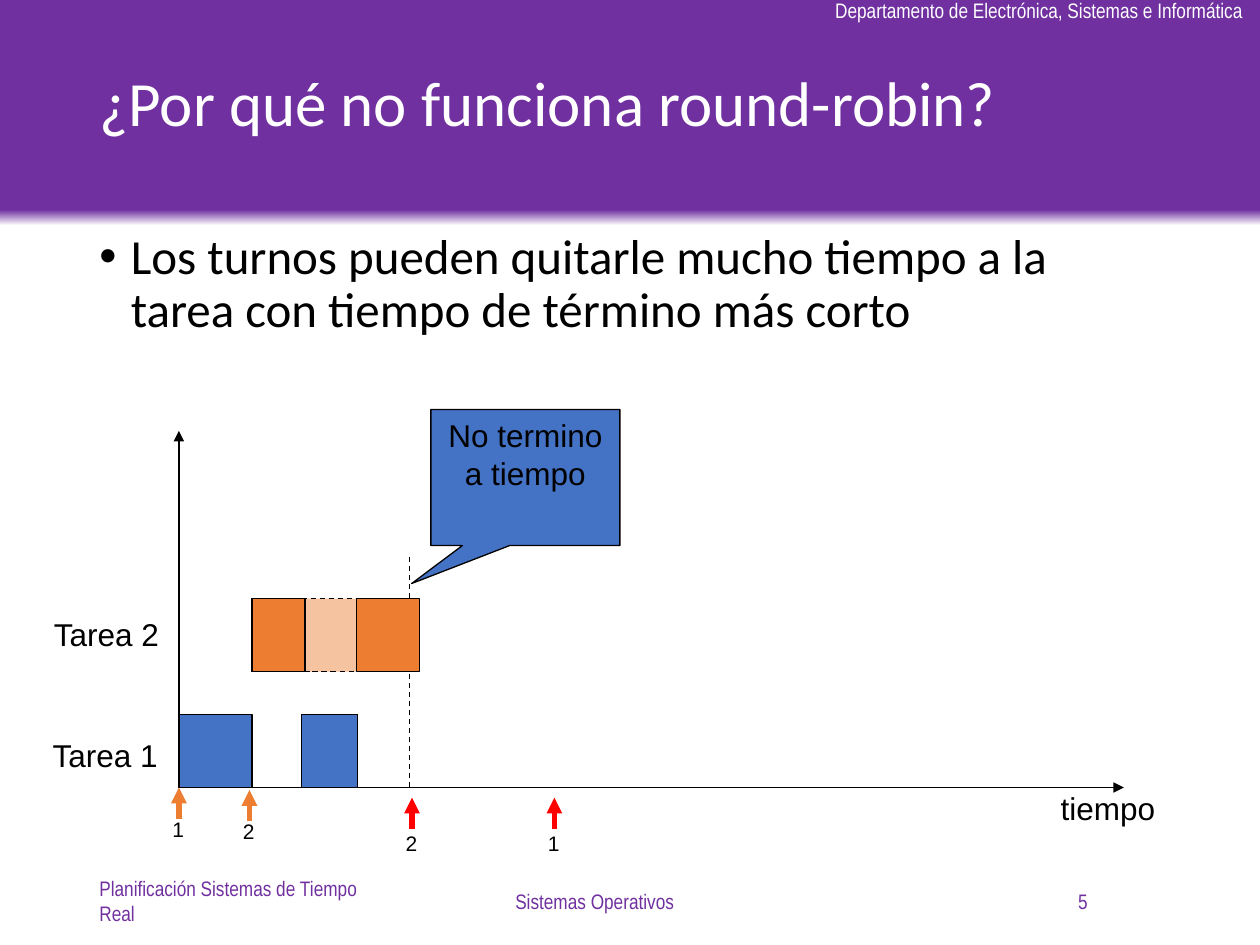
from lxml import etree
from pptx import Presentation
from pptx.dml.color import RGBColor
from pptx.enum import dml, shapes, text
from pptx.oxml import ns
from pptx.util import Inches, Pt

COLORS = {
    "purple": "7030A0", "white": "FFFFFF", "black": "000000",
    "blue": "4472C4", "orange": "ED7D31", "red": "FF0000",
}
RGB = {name: RGBColor.from_string(value) for name, value in COLORS.items()}
LEFT, CENTER, RIGHT = text.PP_ALIGN.LEFT, text.PP_ALIGN.CENTER, text.PP_ALIGN.RIGHT
TOP, MIDDLE = text.MSO_ANCHOR.TOP, text.MSO_ANCHOR.MIDDLE

presentation = Presentation()
presentation.slide_width, presentation.slide_height = Inches(10), Inches(7.5)
slide = presentation.slides.add_slide(presentation.slide_layouts[6])


def write(shape, words, font, size, color="black", align=LEFT, anchor=TOP, wrap=True):
    frame = shape.text_frame
    paragraph = frame.paragraphs[0]
    run = paragraph.add_run()
    formats = (
        (frame, {"word_wrap": wrap, "vertical_anchor": anchor}),
        (paragraph, {"alignment": align}),
        (run, {"text": words}),
        (run.font, {"name": font, "size": Pt(size)}),
        (run.font.color, {"rgb": RGB[color]}),
    )
    for target, values in formats:
        for name, value in values.items():
            setattr(target, name, value)
    return paragraph


def draw_line(start, end, color="black", width=0.75, arrow=None, dash=None):
    line = slide.shapes.add_connector(
        shapes.MSO_CONNECTOR.STRAIGHT, *map(Inches, (*start, *end)))
    line.line.color.rgb = RGB[color]
    line.line.width = Pt(width)
    line.line.dash_style = dash
    if arrow:
        etree.SubElement(line.line._get_or_add_ln(), ns.qn(f"a:{arrow}"), type="triangle")
    etree.SubElement(line._element.spPr, ns.qn("a:effectLst"))


banner = slide.shapes.add_shape(
    shapes.MSO_SHAPE.RECTANGLE, 0, 0, Inches(10), Inches(1.79))
banner.shadow.inherit = False
banner.line.fill.background()
banner.fill.gradient()
banner.fill.gradient_angle = 90
for stop, position, color in zip(banner.fill.gradient_stops, (0, 0.07), ("white", "purple")):
    stop.position = position
    stop.color.rgb = RGB[color]

FOOTER = {"font": "Arial Narrow", "size": 12, "color": "purple", "anchor": MIDDLE}
LABEL = {"font": "Arial", "size": 18, "wrap": False}
MARK = {"font": "Arial", "size": 12, "wrap": False}
texts = [
    ((6.53, -0.07, 3.48, 0.3), "Departamento de Electrónica, Sistemas e Informática",
     {"font": "Arial Narrow", "size": 12, "color": "white", "wrap": False}),
    ((0.69, 0.15, 8.62, 1.39), "¿Por qué no funciona round-robin?",
     {"font": "Calibri", "size": 36, "color": "white", "anchor": MIDDLE}),
    ((0.69, 1.79, 8.62, 4.97),
     "Los turnos pueden quitarle mucho tiempo a la tarea con tiempo de término más corto",
     {"font": "Calibri", "size": 28}),
    ((0.69, 6.95, 2.25, 0.4), "Planificación Sistemas de Tiempo Real", FOOTER),
    ((3.03, 6.95, 3.38, 0.4), "Sistemas Operativos", {**FOOTER, "align": CENTER}),
    ((6.48, 6.95, 2.25, 0.4), "5", {**FOOTER, "align": RIGHT}),
    ((8.32, 6.21, 0.95, 0.4), "tiempo", LABEL),
    ((0.32, 5.79, 1.06, 0.4), "Tarea 1", LABEL),
    ((0.33, 4.83, 1.06, 0.4), "Tarea 2", LABEL),
]
paragraphs = [
    write(slide.shapes.add_textbox(*map(Inches, box)), words, **style)
    for box, words, style in texts
]
title, bullet = paragraphs[1:3]
title.line_spacing = bullet.line_spacing = 0.9
bullet.space_before = Pt(10)
properties = bullet._p.get_or_add_pPr()
properties.set("marL", str(Inches(0.25)))
properties.set("indent", str(Inches(-0.25)))
etree.SubElement(properties, ns.qn("a:buFont"), typeface="Arial")
etree.SubElement(properties, ns.qn("a:buChar"), char="•")

ORIGIN = (1.42, 6.25)
DEADLINE = 3.25
DASH = dml.MSO_LINE.DASH
draw_line((DEADLINE, ORIGIN[1]), (DEADLINE, 4.42), dash=DASH)

TASK_TOPS = {"blue": 5.67, "orange": 4.75}
blocks = [
    ("orange", 2, 0.92, 46), ("blue", 1.42, 0.58, 100), ("orange", 2, 0.42, 100),
    ("blue", 2.39, 0.45, 100), ("orange", 2.83, 0.5, 100),
]
for color, left, width, opacity in blocks:
    block = slide.shapes.add_shape(
        shapes.MSO_SHAPE.RECTANGLE, *map(Inches, (left, TASK_TOPS[color], width, 0.58)))
    block.shadow.inherit = False
    block.fill.solid()
    block.fill.fore_color.rgb = RGB[color]
    block.line.color.rgb = RGB["black"]
    block.line.width = Pt(0.75)
    if opacity < 100:
        block.line.dash_style = DASH
        fill_color = block._element.spPr.find(ns.qn("a:solidFill"))[0]
        etree.SubElement(fill_color, ns.qn("a:alpha"), val=str(opacity * 1000))

for axis_end in ((8.92, ORIGIN[1]), (ORIGIN[0], 3.42)):
    draw_line(ORIGIN, axis_end, arrow="tailEnd")

marks = [
    ("1", 1.42, 6.25, "orange", 6.43), ("2", 1.98, 6.27, "orange", 6.45),
    ("2", 3.27, 6.33, "red", 6.54), ("1", 4.4, 6.33, "red", 6.54),
]
for number, x, y, color, label_top in marks:
    draw_line((x, y), (x, y + 0.25), color, 3, arrow="headEnd")
    label = slide.shapes.add_textbox(*map(Inches, (x - 0.15, label_top, 0.29, 0.3)))
    write(label, number, **MARK)

callout = slide.shapes.add_shape(
    shapes.MSO_SHAPE.RECTANGULAR_CALLOUT, *map(Inches, (3.42, 3.25, 1.5, 1.08)))
callout.shadow.inherit = False
callout.adjustments[0], callout.adjustments[1] = -0.602, 0.779
callout.fill.solid()
callout.fill.fore_color.rgb = RGB["blue"]
callout.line.color.rgb = RGB["black"]
callout.line.width = Pt(0.75)
write(callout, "No termino a tiempo", "Arial", 18, align=CENTER)

presentation.save("out.pptx")
